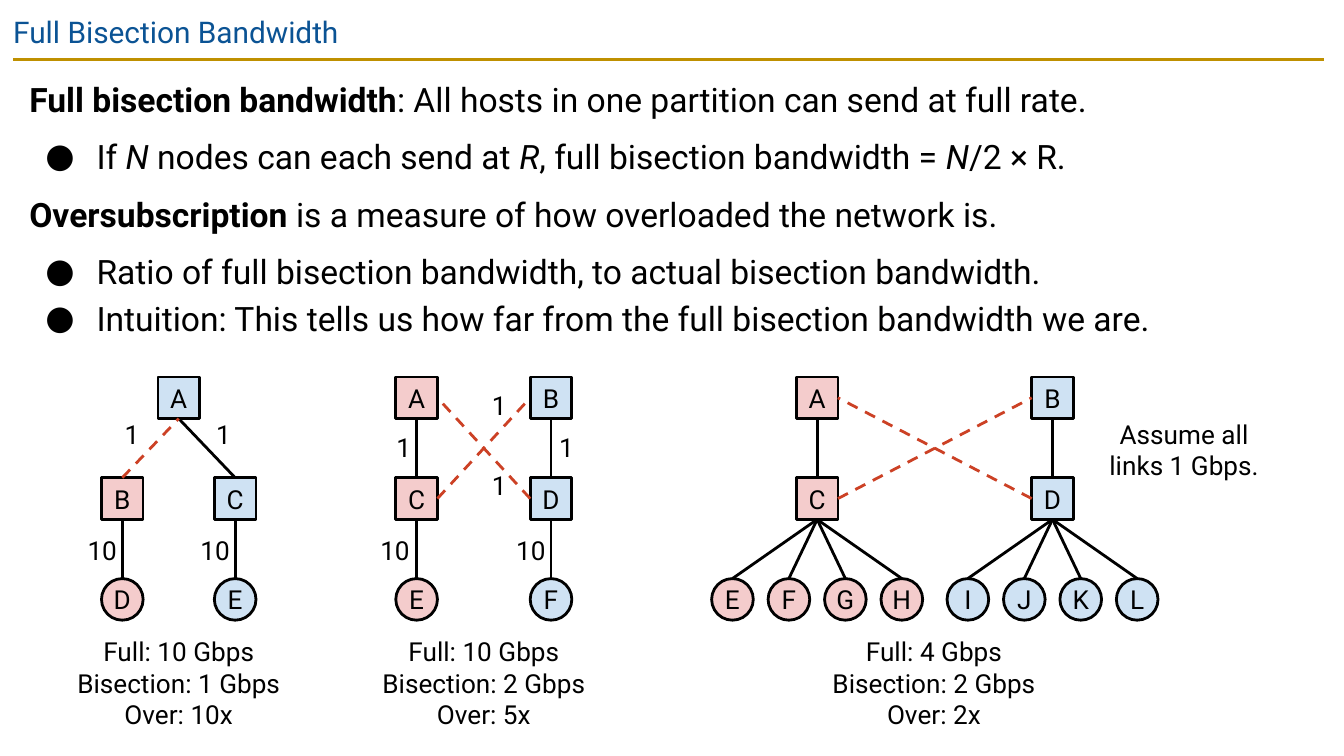
from lxml import etree
from pptx import Presentation
from pptx.dml.color import RGBColor
from pptx.enum.dml import MSO_LINE
from pptx.enum.shapes import MSO_CONNECTOR, MSO_SHAPE
from pptx.enum.text import MSO_ANCHOR, PP_ALIGN
from pptx.oxml.ns import qn
from pptx.util import Inches, Pt

RECT, OVAL = MSO_SHAPE.RECTANGLE, MSO_SHAPE.OVAL
STRAIGHT, DASH = MSO_CONNECTOR.STRAIGHT, MSO_LINE.DASH
LEFT, CENTER = PP_ALIGN.LEFT, PP_ALIGN.CENTER
TOP, MIDDLE = MSO_ANCHOR.TOP, MSO_ANCHOR.MIDDLE
SIDES = {"top": 0, "left": 1, "bottom": 2, "right": 3}

COLORS = {"title": "0B5394", "rule": "BF9000", "black": "000000",
          "red": "F4CCCC", "blue": "CFE2F3", "cut": "CC4125"}
FONT = "Roboto"
W = 10
H = W * 9 / 16
NODE = 0.31                       # side of a node
ROW_Y, ROW_H = 2.96, 0.75         # centre of the first row, row pitch
LEAF = 0.42                       # pitch of neighbouring hosts
CAPTION_W, CAPTION_Y = 1.62, 4.73

# Each tree: left edge and column width; nodes are (name, column, row, colour),
# row 2 holds hosts; links are (lower nodes, upper node); cuts are (left, right)
TREES = [
    {"x": 0.91, "col": LEAF,
     "nodes": [("A", 1, 0, "blue"), ("B", 0, 1, "red"), ("C", 2, 1, "blue"),
               ("D", 0, 2, "red"), ("E", 2, 2, "blue")],
     "links": [("C", "A"), ("D", "B"), ("E", "C")],
     "cuts": [("B", "top", "A", "bottom")],
     "labels": [("10", -0.33, 1.52), ("10", 1.67, 1.52),
                ("1", 0.21, 0.36), ("1", 1.83, 0.36)],
     "caption": (1, ["Full: 10 Gbps", "Bisection: 1 Gbps", "Over: 10x"])},
    {"x": 3.1, "col": 1,
     "nodes": [("A", 0, 0, "red"), ("B", 1, 0, "blue"), ("C", 0, 1, "red"),
               ("D", 1, 1, "blue"), ("E", 0, 2, "red"), ("F", 1, 2, "blue")],
     "links": [("C", "A"), ("D", "B"), ("E", "C"), ("F", "D")],
     "cuts": [("D", "left", "A", "right"), ("C", "right", "B", "left")],
     "labels": [("10", -0.15, 1.52), ("10", 0.86, 1.52), ("1", -0.08, 0.49),
                ("1", 1.13, 0.49), ("1", 0.63, 0.08), ("1", 0.63, 0.87)],
     "caption": (0.5, ["Full: 10 Gbps", "Bisection: 2 Gbps", "Over: 5x"])},
    {"x": 5.45, "col": LEAF,
     "nodes": [("A", 1.5, 0, "red"), ("B", 5.67, 0, "blue"),
               ("C", 1.5, 1, "red"), ("D", 5.67, 1, "blue")]
     + [(n, i, 2, "red") for i, n in enumerate("EFGH")]
     + [(n, 4.17 + i, 2, "blue") for i, n in enumerate("IJKL")],
     "links": [("C", "A"), ("D", "B"), ("EFGH", "C"), ("IJKL", "D")],
     "cuts": [("D", "left", "A", "right"), ("C", "right", "B", "left")],
     "labels": [],
     "caption": (3.57, ["Full: 4 Gbps", "Bisection: 2 Gbps", "Over: 2x"])},
]

# (bulleted, space before, runs of (text, format))
BODY = [
    (False, 0, [("Full bisection bandwidth", {"bold": True}),
                (": All hosts in one partition can send at full rate.", {})]),
    (True, 6, [("If ", {}), ("N", {"italic": True}), (" nodes can each send at ", {}),
               ("R", {"italic": True}), (", full bisection bandwidth = ", {}),
               ("N", {"italic": True}), ("/2 × R.", {})]),
    (False, 6, [("Oversubscription", {"bold": True}),
                (" is a measure of how overloaded the network is.", {})]),
    (True, 6, [("Ratio of full bisection bandwidth, to actual bisection bandwidth.", {})]),
    (True, 0, [("Intuition: This tells us how far from the full bisection bandwidth we are.", {})]),
]


def rgb(name):
    return RGBColor.from_string(COLORS[name])


def set_attrs(obj, values):
    for key, value in values.items():
        setattr(obj, key, value)


def set_frame(tf, inset=0, anchor=TOP):
    set_attrs(tf, {"word_wrap": True, "vertical_anchor": anchor})
    for side in ("left", "top", "right", "bottom"):
        setattr(tf, f"margin_{side}", Inches(inset))


def add_run(p, text, size=14, color="black", **fmt):
    r = p.add_run()
    r.text = text
    set_attrs(r.font, {"name": FONT, "size": Pt(size), **fmt})
    r.font.color.rgb = rgb(color)


def add_text(s, box, lines, align=CENTER, inset=0, **fmt):
    tf = s.shapes.add_textbox(*map(Inches, box)).text_frame
    set_frame(tf, inset)
    for i, line in enumerate(lines):
        p = tf.add_paragraph() if i else tf.paragraphs[0]
        p.alignment = align
        add_run(p, line, **fmt)


def add_line(s, ends=(0, 0, 0, 0), color="black", dash=None):
    line = s.shapes.add_connector(STRAIGHT, *map(Inches, ends))
    line.line.color.rgb = rgb(color)
    set_attrs(line.line, {"width": Pt(1.5), "dash_style": dash})
    etree.SubElement(line._element.spPr, qn("a:effectLst"))
    return line


def add_link(s, start, start_side, end, end_side, **style):
    line = add_line(s, **style)
    line.begin_connect(start, SIDES[start_side])
    line.end_connect(end, SIDES[end_side])


def add_node(s, name, x, y, kind, color):
    box = (x - NODE / 2, y - NODE / 2, NODE, NODE)
    sp = s.shapes.add_shape(kind, *map(Inches, box))
    sp.shadow.inherit = False
    sp.fill.solid()
    sp.fill.fore_color.rgb = rgb(color)
    sp.line.color.rgb = rgb("black")
    sp.line.width = Pt(1.5)
    set_frame(sp.text_frame, anchor=MIDDLE)
    p = sp.text_frame.paragraphs[0]
    p.alignment = CENTER
    add_run(p, name)
    return sp


def add_tree(s, tree):
    def place(col, row):
        return tree["x"] + col * tree["col"], ROW_Y + row * ROW_H

    nodes = {name: add_node(s, name, *place(col, row), OVAL if row == 2 else RECT, color)
             for name, col, row, color in tree["nodes"]}
    for lowers, upper in tree["links"]:
        for lower in lowers:
            add_link(s, nodes[lower], "top", nodes[upper], "bottom")
    for start, start_side, end, end_side in tree["cuts"]:
        add_link(s, nodes[start], start_side, nodes[end], end_side, color="cut", dash=DASH)
    for text, col, row in tree["labels"]:
        x, y = place(col, row)
        w, h = 0.04 + 0.1 * len(text), 0.24
        add_text(s, (x - w / 2, y - h / 2, w, h), [text], LEFT)
    col, lines = tree["caption"]
    x = place(col, 0)[0]
    add_text(s, (x - CAPTION_W / 2, CAPTION_Y, CAPTION_W, 0.71), lines)


def add_bullet(p):
    pPr = p._p.get_or_add_pPr()
    pPr.set("marL", str(Inches(0.5)))
    pPr.set("indent", str(Inches(-0.38)))
    clr = etree.SubElement(pPr, qn("a:buClr"))
    etree.SubElement(clr, qn("a:srgbClr"), val=COLORS["black"])
    etree.SubElement(pPr, qn("a:buFont"), typeface=FONT)
    etree.SubElement(pPr, qn("a:buChar"), char="●")


def add_body(s, box):
    tf = s.shapes.add_textbox(*map(Inches, box)).text_frame
    set_frame(tf, 0.1)
    for i, (bulleted, before, runs) in enumerate(BODY):
        p = tf.add_paragraph() if i else tf.paragraphs[0]
        if bulleted:
            add_bullet(p)
        set_attrs(p, {"line_spacing": 1.15, "space_before": Pt(before)})
        for text, fmt in runs:
            add_run(p, text, 18, **fmt)


def main():
    prs = Presentation()
    prs.slide_width, prs.slide_height = Inches(W), Inches(H)
    s = prs.slides.add_slide(prs.slide_layouts[6])

    # Title and rule
    add_line(s, (0.1, 0.44, 9.85, 0.44), "rule")
    add_text(s, (0, 0, W, 0.43), ["Full Bisection Bandwidth"], LEFT, 0.1,
             size=16, color="title")

    # Definitions
    add_body(s, (0.12, 0.44, 9.74, 2.14))

    # Network trees
    for tree in TREES:
        add_tree(s, tree)
    add_text(s, (8.14, 3.11, 1.34, 0.47), ["Assume all links 1 Gbps."])

    prs.save("out.pptx")


if __name__ == "__main__":
    main()
